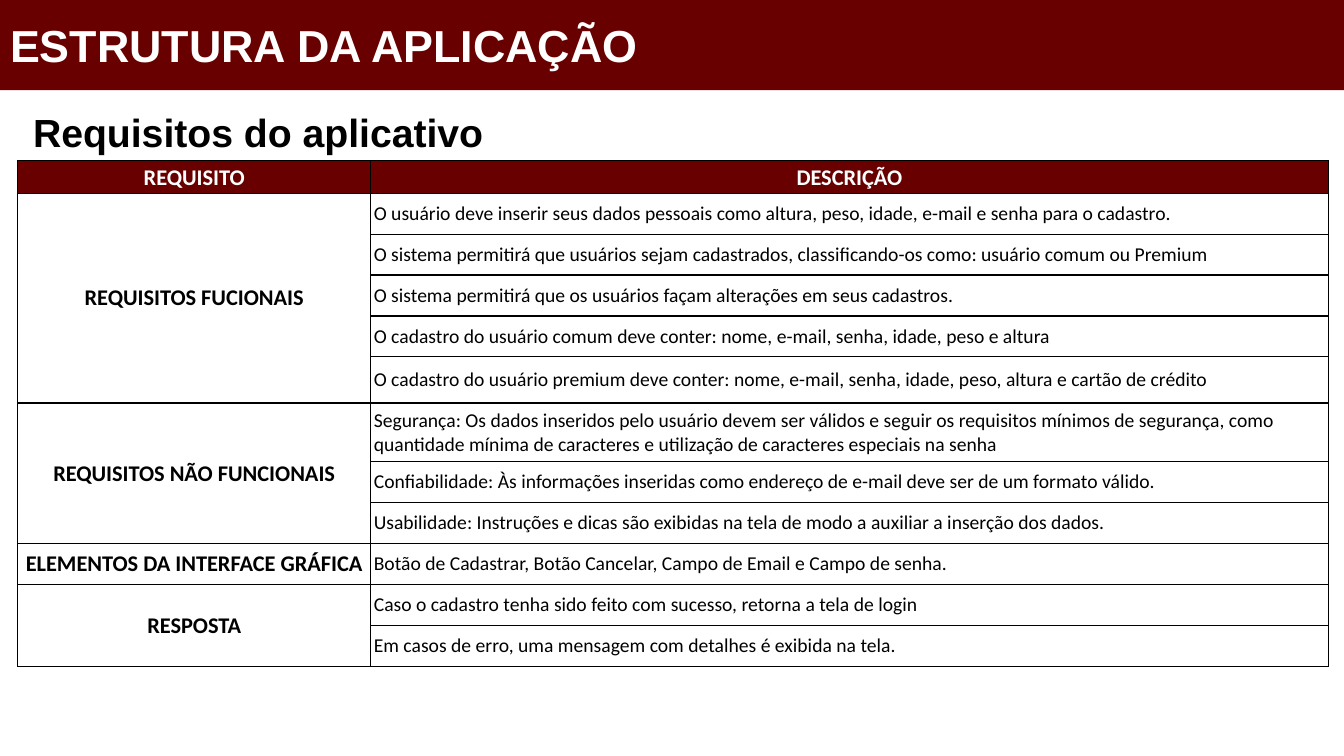
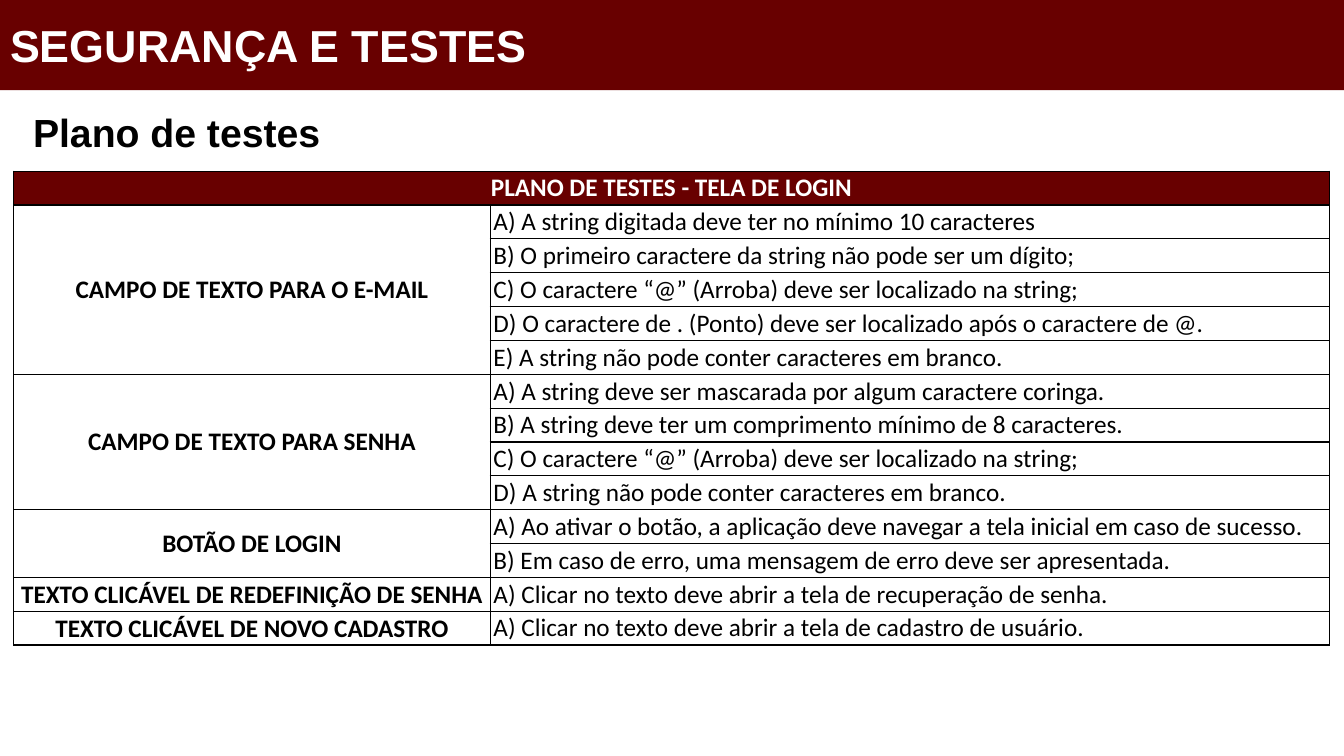
from dataclasses import dataclass
from lxml.etree import SubElement
from pptx import Presentation
from pptx.dml.color import RGBColor
from pptx.enum.shapes import MSO_SHAPE
from pptx.enum.text import MSO_ANCHOR, MSO_AUTO_SIZE, PP_ALIGN
from pptx.oxml.ns import qn
from pptx.util import Pt

PX = 9525  # EMU per px, 96 px to the inch


@dataclass(frozen=True)
class Theme:
    wine: RGBColor = RGBColor(0x68, 0x00, 0x00)
    white: RGBColor = RGBColor(0xFF, 0xFF, 0xFF)
    black: RGBColor = RGBColor(0x00, 0x00, 0x00)
    heading_font: str = "Arial"
    table_font: str = "Calibri"
    title: int = 32
    subtitle: int = 28


T = Theme()

SLIDES = [
    dict(
        title="ESTRUTURA DA APLICAÇÃO",
        subtitle="Requisitos do aplicativo",
        left=17, top=153, cols=[336, 912],
        rows=[31] + [39] * 4 + [44, 56] + [39] * 5,
        label_size=16, text_size=14, anchor=MSO_ANCHOR.MIDDLE,
        header=["REQUISITO", "DESCRIÇÃO"],
        groups={
            "REQUISITOS FUCIONAIS": [
                "O usuário deve inserir seus dados pessoais como altura, peso, idade, e-mail e senha para o cadastro.",
                "O sistema permitirá que usuários sejam cadastrados, classificando-os como: usuário comum ou Premium",
                "O sistema permitirá que os usuários façam alterações em seus cadastros.",
                "O cadastro do usuário comum deve conter: nome, e-mail, senha, idade, peso e altura",
                "O cadastro do usuário premium deve conter: nome, e-mail, senha, idade, peso, altura e cartão de crédito",
            ],
            "REQUISITOS NÃO FUNCIONAIS": [
                "Segurança: Os dados inseridos pelo usuário devem ser válidos e seguir os requisitos mínimos de "
                "segurança, como quantidade mínima de caracteres e utilização de caracteres especiais na senha",
                "Confiabilidade: Às informações inseridas como endereço de e-mail deve ser de um formato válido.",
                "Usabilidade: Instruções e dicas são exibidas na tela de modo a auxiliar a inserção dos dados.",
            ],
            "ELEMENTOS DA INTERFACE GRÁFICA": [
                "Botão de Cadastrar, Botão Cancelar, Campo de Email e Campo de senha.",
            ],
            "RESPOSTA": [
                "Caso o cadastro tenha sido feito com sucesso, retorna a tela de login",
                "Em casos de erro, uma mensagem com detalhes é exibida na tela.",
            ],
        },
    ),
    dict(
        title="SEGURANÇA E TESTES",
        subtitle="Plano de testes",
        left=13, top=163, cols=[454, 799],
        rows=[32] * 14,
        label_size=18, text_size=18, anchor=MSO_ANCHOR.BOTTOM,
        header=["PLANO DE TESTES - TELA DE LOGIN"],
        groups={
            "CAMPO DE TEXTO PARA O E-MAIL": [
                "A) A string digitada deve ter no mínimo 10 caracteres",
                "B) O primeiro caractere da string não pode ser um dígito;",
                "C) O caractere “@” (Arroba) deve ser localizado na string;",
                "D) O caractere de . (Ponto) deve ser localizado após o caractere de @.",
                "E) A string não pode conter caracteres em branco.",
            ],
            "CAMPO DE TEXTO PARA SENHA": [
                "A) A string deve ser mascarada por algum caractere coringa.",
                "B) A string deve ter um comprimento mínimo de 8 caracteres.",
                "C) O caractere “@” (Arroba) deve ser localizado na string;",
                "D) A string não pode conter caracteres em branco.",
            ],
            "BOTÃO DE LOGIN": [
                "A) Ao ativar o botão, a aplicação deve navegar a tela inicial em caso de sucesso.",
                "B) Em caso de erro, uma mensagem de erro deve ser apresentada.",
            ],
            "TEXTO CLICÁVEL DE REDEFINIÇÃO DE SENHA": [
                "A) Clicar no texto deve abrir a tela de recuperação de senha.",
            ],
            "TEXTO CLICÁVEL DE NOVO CADASTRO": [
                "A) Clicar no texto deve abrir a tela de cadastro de usuário.",
            ],
        },
    ),
]


def add_text(tf, text, font, size, color, bold=True, align=PP_ALIGN.LEFT):
    tf.word_wrap = True
    p = tf.paragraphs[0]
    p.alignment = align
    r = p.add_run()
    r.text = text
    r.font.name, r.font.size, r.font.bold = font, Pt(size), bold
    r.font.color.rgb = color


def style_cell(cell):
    """Give a cell black borders, narrow margins and no fill."""
    tcPr = cell._tc.get_or_add_tcPr()
    for side in ("a:lnL", "a:lnR", "a:lnT", "a:lnB"):
        ln = SubElement(tcPr, qn(side), w=str(Pt(1)))
        fill = SubElement(ln, qn("a:solidFill"))
        SubElement(fill, qn("a:srgbClr"), val=str(T.black))
    cell.margin_left = cell.margin_right = 3 * PX
    cell.margin_top = cell.margin_bottom = Pt(1.3)
    cell.vertical_anchor = MSO_ANCHOR.MIDDLE
    cell.fill.background()


prs = Presentation()
prs.slide_width, prs.slide_height = 1280 * PX, 720 * PX

# Shared layout: wine band behind the title
layout = prs.slide_layouts.get_by_name("Title Only")
title = layout.placeholders[0]
title.left, title.top, title.width, title.height = 0, 12 * PX, 640 * PX, 61 * PX
slides = [prs.slides.add_slide(layout) for _ in SLIDES]
band = slides[0].shapes.add_shape(MSO_SHAPE.RECTANGLE, 0, 0, prs.slide_width, 86 * PX)
band.shadow.inherit = False
band.fill.solid()
band.fill.fore_color.rgb = T.wine
band.line.fill.background()
band._element.nvSpPr.cNvPr.set("id", "20")
layout.shapes._spTree.insert(2, band._element)

for s, data in zip(slides, SLIDES):
    tf = s.shapes.title.text_frame
    tf.auto_size = MSO_AUTO_SIZE.NONE
    add_text(tf, data["title"], T.heading_font, T.title, T.white)

    subtitle = s.shapes.add_textbox(22 * PX, 98 * PX, 487 * PX, 55 * PX)
    add_text(subtitle.text_frame, data["subtitle"], T.heading_font, T.subtitle, T.black)

    cols, rows = data["cols"], data["rows"]
    table = s.shapes.add_table(len(rows), len(cols), data["left"] * PX, data["top"] * PX,
                               sum(cols) * PX, sum(rows) * PX).table
    table.horz_banding = False
    for col, width in zip(table.columns, cols):
        col.width = width * PX
    for row, height in zip(table.rows, rows):
        row.height = height * PX
    for cell in table.iter_cells():
        style_cell(cell)

    if len(data["header"]) == 1:
        table.cell(0, 0).merge(table.cell(0, 1))
    for c, text in enumerate(data["header"]):
        cell = table.cell(0, c)
        cell.fill.solid()
        cell.fill.fore_color.rgb = T.wine
        cell.vertical_anchor = MSO_ANCHOR.BOTTOM
        add_text(cell.text_frame, text, T.table_font, data["label_size"], T.white,
                 align=PP_ALIGN.CENTER)

    first = 1
    for label, items in data["groups"].items():
        label_cell = table.cell(first, 0)
        if len(items) > 1:
            label_cell.merge(table.cell(first + len(items) - 1, 0))
        add_text(label_cell.text_frame, label, T.table_font, data["label_size"], T.black,
                 align=PP_ALIGN.CENTER)
        for i, item in enumerate(items, first):
            cell = table.cell(i, 1)
            cell.vertical_anchor = data["anchor"]
            add_text(cell.text_frame, item, T.table_font, data["text_size"], T.black, bold=False)
        first += len(items)

    # Empty cells need the table size too, or their default text would stretch the rows
    for cell in table.iter_cells():
        if cell.is_spanned:
            cell.text_frame.paragraphs[0].font.size = Pt(data["text_size"])

prs.save("out.pptx")
